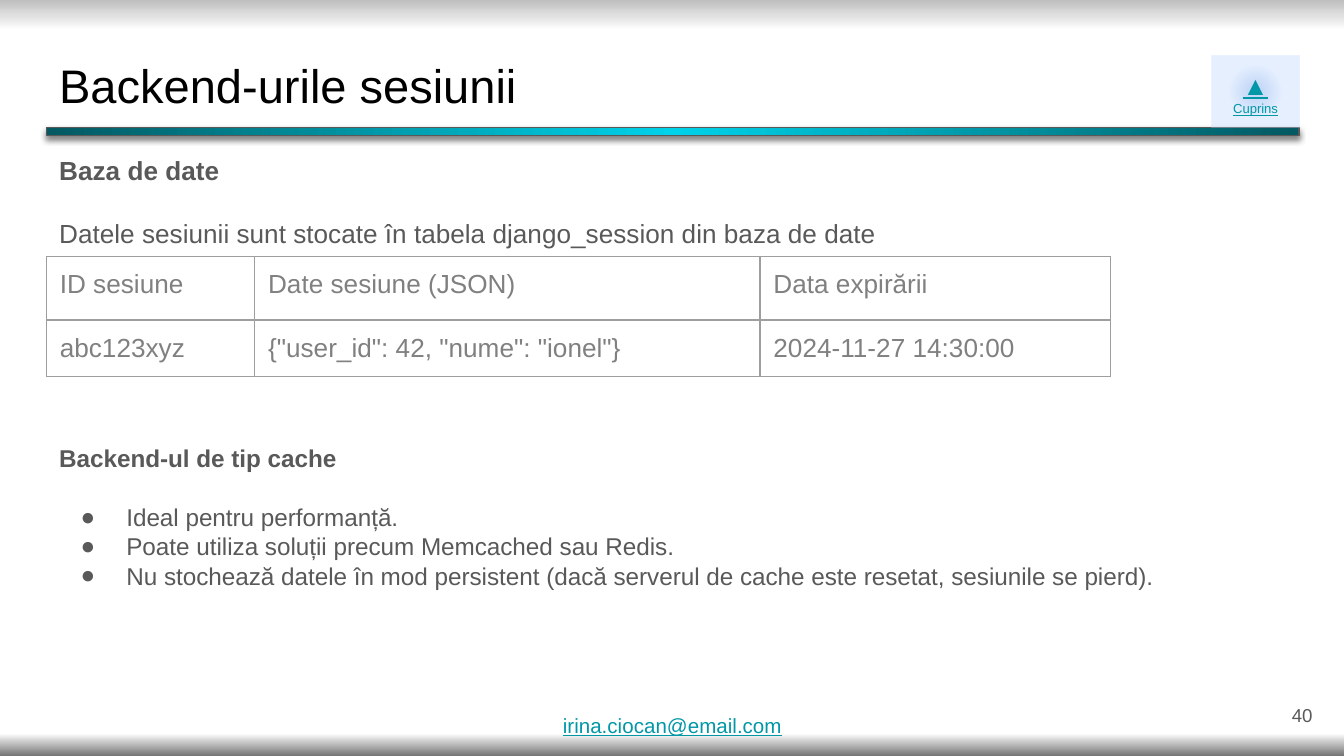
from pptx import Presentation, util as u
from pptx.dml.color import RGBColor
from pptx.enum import shapes, text
from pptx.oxml import parse_xml
from pptx.oxml.ns import nsdecls, qn

THEME = {
    "font": "Arial",
    "title": {"size": 25.2, "color": "000000"},
    "body": {"size": 14, "color": "595959"},
    "body_head": {"size": 14, "color": "595959", "bold": True},
    "list": {"size": 13, "color": "595959"},
    "list_head": {"size": 13, "color": "595959", "bold": True},
    "cell": {"size": 14, "color": "808080"},
    "number": {"size": 10, "color": "595959"},
    "arrow": {"size": 14, "color": "0097A7", "underline": True},
    "link": {"size": 7, "color": "0097A7", "underline": True},
    "contact": {"size": 11, "color": "0097A7", "underline": True},
    "border": "9E9E9E",
}
BACKDROP = [(0, "BFBFBF", 100), (4, "FFFFFF", 100), (97, "FFFFFF", 100), (100, "737373", 100)]
BAR_GLOW = [(0, "00D2E9", 100), (100, "045962", 100)]
BADGE_GLOW = [(0, "4A86E8", 37), (48, "BCD6FF", 37), (100, "BCD6FF", 37)]
DOWNWARD = '<a:lin ang="5400000" scaled="0"/>'
FROM_CENTRE = '<a:path path="circle"><a:fillToRect l="50000" t="50000" r="50000" b="50000"/></a:path>'

LEFT, MIDDLE, RIGHT = text.PP_ALIGN.LEFT, text.PP_ALIGN.CENTER, text.PP_ALIGN.RIGHT
TITLE = [("Backend-urile sesiunii", "title", {})]
DATABASE = [
    ("Baza de date", "body_head", {}),
    ("Datele sesiunii sunt stocate în tabela django_session din baza de date", "body", {"before": 17}),
]
CACHE = [
    ("Backend-ul de tip cache", "list_head", {}),
    ("Ideal pentru performanță.", "list", {"bullet": "●", "before": 16}),
    ("Poate utiliza soluții precum Memcached sau Redis.", "list", {"bullet": "●"}),
    ("Nu stochează datele în mod persistent (dacă serverul de cache este resetat, sesiunile se pierd).",
     "list", {"bullet": "●"}),
]
CONTENTS_LINK = [("▲", "arrow", {"align": MIDDLE}), ("Cuprins", "link", {"align": MIDDLE})]
CONTACT = [("irina.ciocan@email.com", "contact", {})]
NUMBER = [("40", "number", {"align": RIGHT})]
SESSIONS = [
    ["ID sesiune", "Date sesiune (JSON)", "Data expirării"],
    ["abc123xyz", '{"user_id": 42, "nume": "ionel"}', "2024-11-27 14:30:00"],
]

PLACES = {
    "title": (3.4, 5.69, 93.2, 11.2),
    "bar": (3.45, 16.85, 93.2, 1.07),
    "badge": (90.15, 7.35, 6.55, 9.5),
    "database": (3.4, 18.67, 93.2, 15.82),
    "sessions": (3.45, 33.96, 79.2, 15.83),
    "cache": (3.4, 56.89, 87.1, 30.58),
    "contact": (40.9, 94.31, 18.4, 4.8),
    "number": (92.65, 90.7, 6, 7.65),
}
COLUMN_SHARES = [15.5, 37.6, 26.1]
ROW_SHARES = [8.36, 7.47]

deck = Presentation()
deck.slide_width, deck.slide_height = u.Inches(10), u.Inches(10 * 9 / 16)
slide = deck.slides.add_slide(deck.slide_layouts[3])


def across(share):
    return int(deck.slide_width * share / 100)


def down(share):
    return int(deck.slide_height * share / 100)


def place(name):
    x, y, w, h = PLACES[name]
    return across(x), down(y), across(w), down(h)


def apply(target, values):
    for key, value in values.items():
        setattr(target, key, value)


def glow(fill, owner, stops, direction):
    fill.gradient()
    gradient = next(owner.iter(qn("a:gradFill")))
    marks = "".join(
        f'<a:gs pos="{at * 1000}"><a:srgbClr val="{color}"><a:alpha val="{alpha * 1000}"/></a:srgbClr></a:gs>'
        for at, color, alpha in stops)
    gradient.getparent().replace(gradient, parse_xml(
        f'<a:gradFill {nsdecls("a")} rotWithShape="1"><a:gsLst>{marks}</a:gsLst>{direction}</a:gradFill>'))


def add_bullet(paragraph, mark, color):
    props = paragraph._p.get_or_add_pPr()
    props.set("marL", str(u.Inches(0.5) if mark else 0))
    props.set("indent", str(u.Inches(-0.34) if mark else 0))
    tags = [f'<a:buClr {nsdecls("a")}><a:srgbClr val="{color}"/></a:buClr>',
            f'<a:buFont {nsdecls("a")} typeface="{THEME["font"]}"/>',
            f'<a:buChar {nsdecls("a")} char="{mark}"/>'] if mark else [f'<a:buNone {nsdecls("a")}/>']
    for tag in tags:
        props.append(parse_xml(tag))


def write(frame, lines, anchor=text.MSO_ANCHOR.TOP, wrap=True, inset=0.1):
    apply(frame, {"word_wrap": wrap, "auto_size": text.MSO_AUTO_SIZE.NONE, "vertical_anchor": anchor,
                  "margin_left": u.Inches(0.1), "margin_right": u.Inches(0.1),
                  "margin_top": u.Inches(inset), "margin_bottom": u.Inches(inset)})
    for index, (words, style, layout) in enumerate(lines):
        look = THEME[style]
        paragraph = frame.add_paragraph() if index else frame.paragraphs[0]
        add_bullet(paragraph, layout.get("bullet"), look["color"])
        apply(paragraph, {"alignment": layout.get("align", LEFT), "line_spacing": 1.0,
                          "space_before": u.Pt(layout.get("before", 0)), "space_after": u.Pt(0)})
        run = paragraph.add_run()
        run.text = words
        apply(run.font, {"name": THEME["font"], "size": u.Pt(look["size"]),
                         "bold": look.get("bold", False), "underline": look.get("underline", False)})
        run.font.color.rgb = RGBColor.from_string(look["color"])


def add_block(name, stops):
    block = slide.shapes.add_shape(shapes.MSO_SHAPE.RECTANGLE, *place(name))
    glow(block.fill, block._element, stops, FROM_CENTRE)
    block.line.fill.background()
    block.shadow.inherit = False
    return block


glow(slide.background.fill, slide._element, BACKDROP, DOWNWARD)

for holder, name, lines in zip(slide.placeholders, ("title", "database", "cache"), (TITLE, DATABASE, CACHE)):
    apply(holder, dict(zip(("left", "top", "width", "height"), place(name))))
    write(holder.text_frame, lines)

bar = add_block("bar", BAR_GLOW)
bar.line.color.rgb = RGBColor.from_string(THEME["body"]["color"])
bar.line.width = u.Pt(0.75)
next(bar._element.iter(qn("a:effectLst"))).append(parse_xml(
    f'<a:outerShdw {nsdecls("a")} blurRad="{u.Pt(3.4)}" dist="{u.Pt(1.5)}" dir="5400000" algn="bl" '
    'rotWithShape="0"><a:srgbClr val="000000"><a:alpha val="50000"/></a:srgbClr></a:outerShdw>'))

badge = add_block("badge", BADGE_GLOW)
write(badge.text_frame, CONTENTS_LINK)

number = slide.shapes.add_textbox(*place("number"))
write(number.text_frame, NUMBER, anchor=text.MSO_ANCHOR.MIDDLE)
contact = slide.shapes.add_textbox(*place("contact"))
write(contact.text_frame, CONTACT, wrap=False, inset=0)

sessions = slide.shapes.add_table(len(ROW_SHARES), len(COLUMN_SHARES), *place("sessions")).table
apply(sessions, {"first_row": False, "horz_banding": False})
for column, share in zip(sessions.columns, COLUMN_SHARES):
    column.width = across(share)
for row, share, entries in zip(sessions.rows, ROW_SHARES, SESSIONS):
    row.height = down(share)
    for cell, entry in zip(row.cells, entries):
        apply(cell, {f"margin_{side}": u.Inches(0.1) for side in ("left", "right", "top", "bottom")})
        write(cell.text_frame, [(entry, "cell", {})])
        props = cell._tc.get_or_add_tcPr()
        for edge in ("lnL", "lnR", "lnT", "lnB"):
            props.append(parse_xml(
                f'<a:{edge} {nsdecls("a")} w="{u.Pt(0.75)}"><a:solidFill>'
                f'<a:srgbClr val="{THEME["border"]}"/></a:solidFill></a:{edge}>'))
        cell.fill.background()

deck.save("out.pptx")
